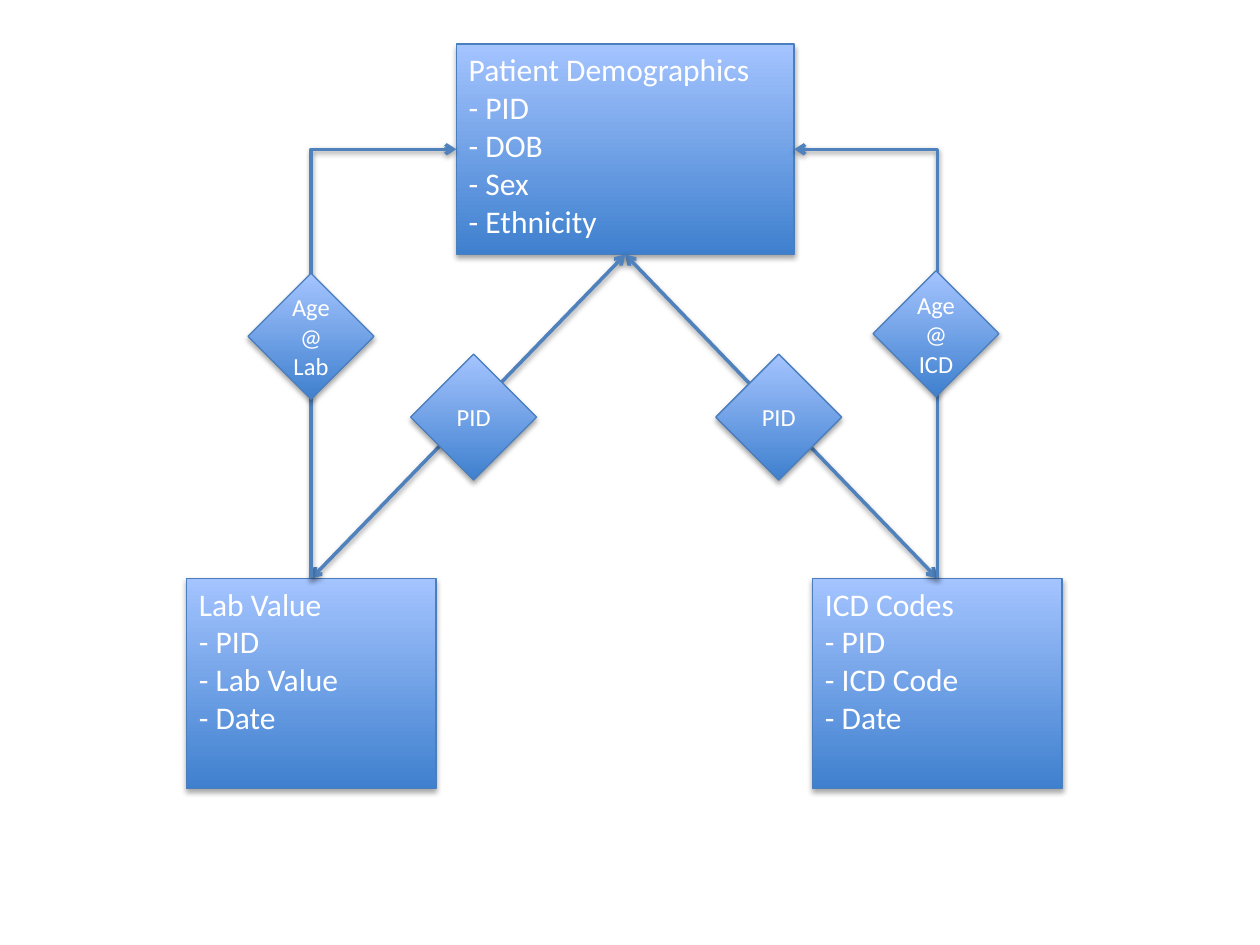
from lxml.etree import SubElement
from pptx import Presentation
from pptx.dml.color import RGBColor
from pptx.enum.shapes import MSO_CONNECTOR, MSO_SHAPE
from pptx.enum.text import MSO_ANCHOR, PP_ALIGN
from pptx.oxml import parse_xml
from pptx.oxml.ns import nsdecls, qn
from pptx.util import Cm, Pt

DEEP = RGBColor(0x3F, 0x80, 0xCE)
PALE = RGBColor(0xA4, 0xC4, 0xFF)
EDGE = RGBColor(0x4B, 0x7E, 0xBC)
LINK = RGBColor(0x4F, 0x81, 0xBD)
WHITE = RGBColor(0xFF, 0xFF, 0xFF)

TOP, LEFT, BOTTOM, RIGHT = range(4)
HIGH, SIDE = 4.24, 2.54

tables = {
    "patient": (9.2, 0.89, 6.81, ["Patient Demographics", "- PID", "- DOB", "- Sex", "- Ethnicity"]),
    "codes": (16.38, 11.66, 5.03, ["ICD Codes", "- PID", "- ICD Code", "- Date"]),
    "lab": (3.76, 11.66, 5.03, ["Lab Value", "- PID", "- Lab Value", "- Date"]),
}
links = [
    ("codes", BOTTOM, MSO_CONNECTOR.STRAIGHT, ["headEnd", "tailEnd"]),
    ("lab", BOTTOM, MSO_CONNECTOR.STRAIGHT, ["headEnd", "tailEnd"]),
    ("codes", RIGHT, MSO_CONNECTOR.ELBOW, ["headEnd"]),
    ("lab", LEFT, MSO_CONNECTOR.ELBOW, ["headEnd"]),
]
keys = [
    (14.43, 7.14, ["PID"]),
    (8.28, 7.14, ["PID"]),
    (5.0, 5.51, ["Age", "@ Lab"]),
    (17.6, 5.46, ["Age @ ICD"]),
]

deck = Presentation()
deck.slide_width, deck.slide_height = Cm(25.4), Cm(19.05)
slide = deck.slides.add_slide(deck.slide_layouts[6])


def shade(item, drop, alpha):
    item._element.spPr.append(parse_xml(
        f'<a:effectLst {nsdecls("a")}><a:outerShdw blurRad="{Pt(3.1)}" dist="{Pt(drop)}" '
        f'dir="5400000" rotWithShape="0"><a:srgbClr val="000000"><a:alpha val="{alpha}000"/>'
        '</a:srgbClr></a:outerShdw></a:effectLst>'))


def block(kind, x, y, wide, high, lines, size, align, anchor):
    item = slide.shapes.add_shape(kind, Cm(x), Cm(y), Cm(wide), Cm(high))
    item.fill.gradient()
    item.fill.gradient_angle = 90
    for stop, tint, place in zip(item.fill.gradient_stops, (DEEP, PALE), (0, 1)):
        stop.color.rgb = tint
        stop.position = place
    item.line.color.rgb = EDGE
    item.line.width = Pt(0.75)
    shade(item, 1.8, 35)
    frame = item.text_frame
    frame.word_wrap = True
    frame.vertical_anchor = anchor
    for i, text in enumerate(lines):
        para = frame.add_paragraph() if i else frame.paragraphs[0]
        para.alignment = align
        run = para.add_run()
        run.text = text
        run.font.size = Pt(size)
        run.font.name = "Calibri"
        run.font.color.rgb = WHITE
    return item


boxes = {
    name: block(MSO_SHAPE.RECTANGLE, x, y, wide, HIGH, lines, 18, PP_ALIGN.LEFT, MSO_ANCHOR.TOP)
    for name, (x, y, wide, lines) in tables.items()
}

for name, site, kind, ends in links:
    wire = slide.shapes.add_connector(kind, 0, 0, 0, 0)
    wire.begin_connect(boxes["patient"], site)
    wire.end_connect(boxes[name], TOP)
    if kind == MSO_CONNECTOR.ELBOW:
        wire._element.spPr.find(qn("a:prstGeom")).set("prst", "bentConnector2")
    wire.line.color.rgb = LINK
    wire.line.width = Pt(2)
    for end in ends:
        SubElement(wire.line._get_or_add_ln(), qn(f"a:{end}"), type="arrow")
    shade(wire, 1.6, 38)

for x, y, lines in keys:
    block(MSO_SHAPE.DIAMOND, x, y, SIDE, SIDE, lines, 14, PP_ALIGN.CENTER, MSO_ANCHOR.MIDDLE)

deck.save("out.pptx")
